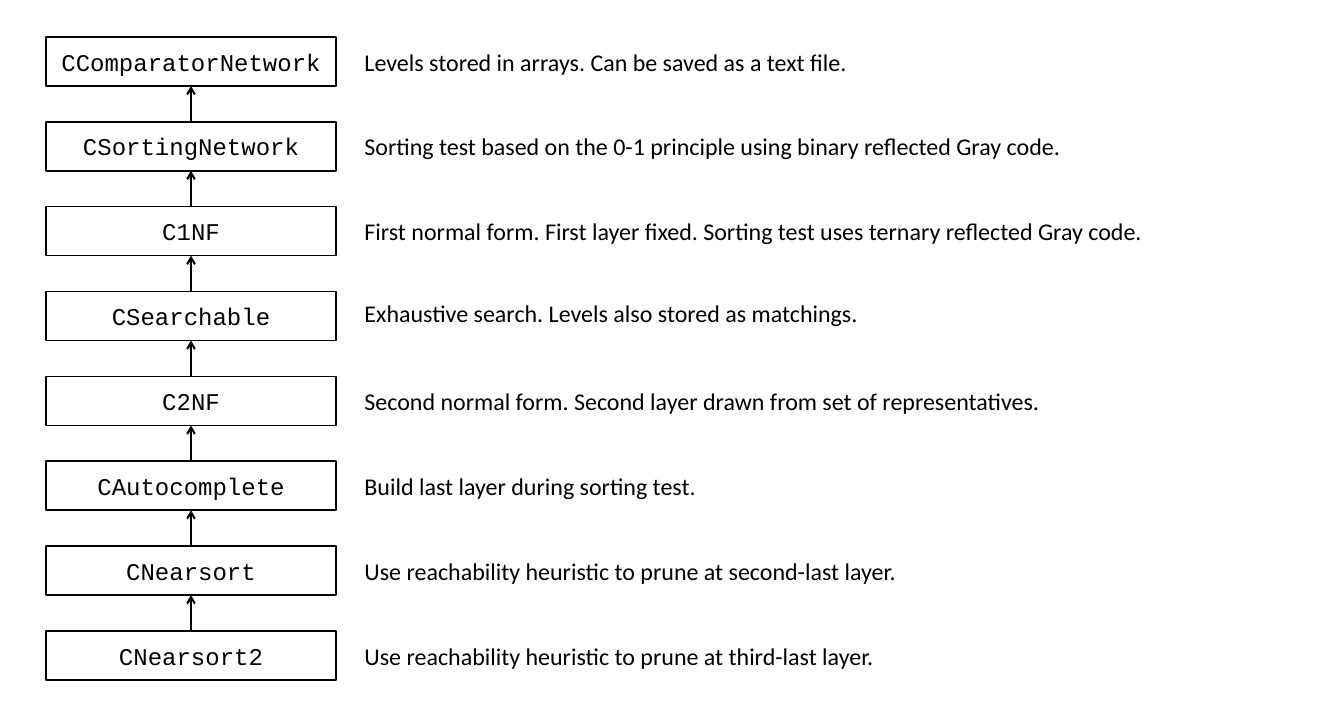
from pptx import Presentation, util as u
from pptx.dml.color import RGBColor
from pptx.enum import shapes, text
from pptx.oxml.ns import qn
from lxml import etree

# Content: class name, note, note width, note shift
ROWS = [
    ("CComparatorNetwork", "Levels stored in arrays. Can be saved as a text file.", 534, 0),
    ("CSortingNetwork", "Sorting test based on the 0-1 principle using binary reflected Gray code.", 797, 0),
    ("C1NF", "First normal form. First layer fixed. Sorting test uses ternary reflected Gray code.", 851, 0),
    ("CSearchable", "Exhaustive search. Levels also stored as matchings.", 797, -3),
    ("C2NF", "Second normal form. Second layer drawn from set of representatives.", 851, 0),
    ("CAutocomplete", "Build last layer during sorting test.", 534, 0),
    ("CNearsort", "Use reachability heuristic to prune at second-last layer.", 564, 0),
    ("CNearsort2", "Use reachability heuristic to prune at third-last layer.", 564, 0),
]
COLORS = {"ink": "000000", "paper": "FFFFFF"}
CLASS = {"name": "Courier New", "size": u.Pt(18)}
NOTE = {"name": "Calibri", "size": u.Pt(18)}

# Layout in pixels
PX = 9525
LEFT, WIDE, HIGH, NOTE_X = 46, 290, 49, 355
FIRST, LAST = 37, 631
STEP = (LAST - FIRST) / (len(ROWS) - 1)


def px(*vals):
    return [round(v * PX) for v in vals]


def rgb(key):
    return RGBColor.from_string(COLORS[key])


deck = Presentation()
deck.slide_width, deck.slide_height = px(1344, 720)
slide = deck.slides.add_slide(deck.slide_layouts[6])


def add_box(words, place, font, align, edge, solid=True):
    box = slide.shapes.add_shape(shapes.MSO_SHAPE.RECTANGLE, *px(*place))
    box.shadow.inherit = False
    if solid:
        box.fill.solid()
        box.fill.fore_color.rgb = rgb("paper")
    else:
        box.fill.background()
    if edge:
        box.line.color.rgb = rgb("ink")
        box.line.width = u.Pt(1.25)
    else:
        box.line.fill.background()
    frame = box.text_frame
    frame.word_wrap = True
    frame.vertical_anchor = text.MSO_ANCHOR.MIDDLE
    para = frame.paragraphs[0]
    para.alignment = align
    run = para.add_run()
    run.text = words
    for key, val in font.items():
        setattr(run.font, key, val)
    run.font.color.rgb = rgb("ink")
    return box


def add_arrow(lower, upper):
    # Points from the derived class up to its base
    link = slide.shapes.add_connector(shapes.MSO_CONNECTOR.STRAIGHT, 0, 0, 0, 0)
    link.begin_connect(upper, 2)
    link.end_connect(lower, 0)
    link.line.color.rgb = rgb("ink")
    link.line.width = u.Pt(1.5)
    etree.SubElement(link.line._get_or_add_ln(), qn("a:headEnd"), type="arrow")
    etree.SubElement(link._element.spPr, qn("a:effectLst"))


# Class boxes with their notes
boxes = []
for i, (name, note, width, shift) in enumerate(ROWS):
    top = FIRST + i * STEP
    boxes.append(add_box(name, (LEFT, top, WIDE, HIGH), CLASS,
                         text.PP_ALIGN.CENTER, True, i < len(ROWS) - 1))
    add_box(note, (NOTE_X, top + shift, width, HIGH), NOTE, text.PP_ALIGN.LEFT, False)

# Inheritance arrows
for upper, lower in zip(boxes, boxes[1:]):
    add_arrow(lower, upper)

deck.save("out.pptx")
